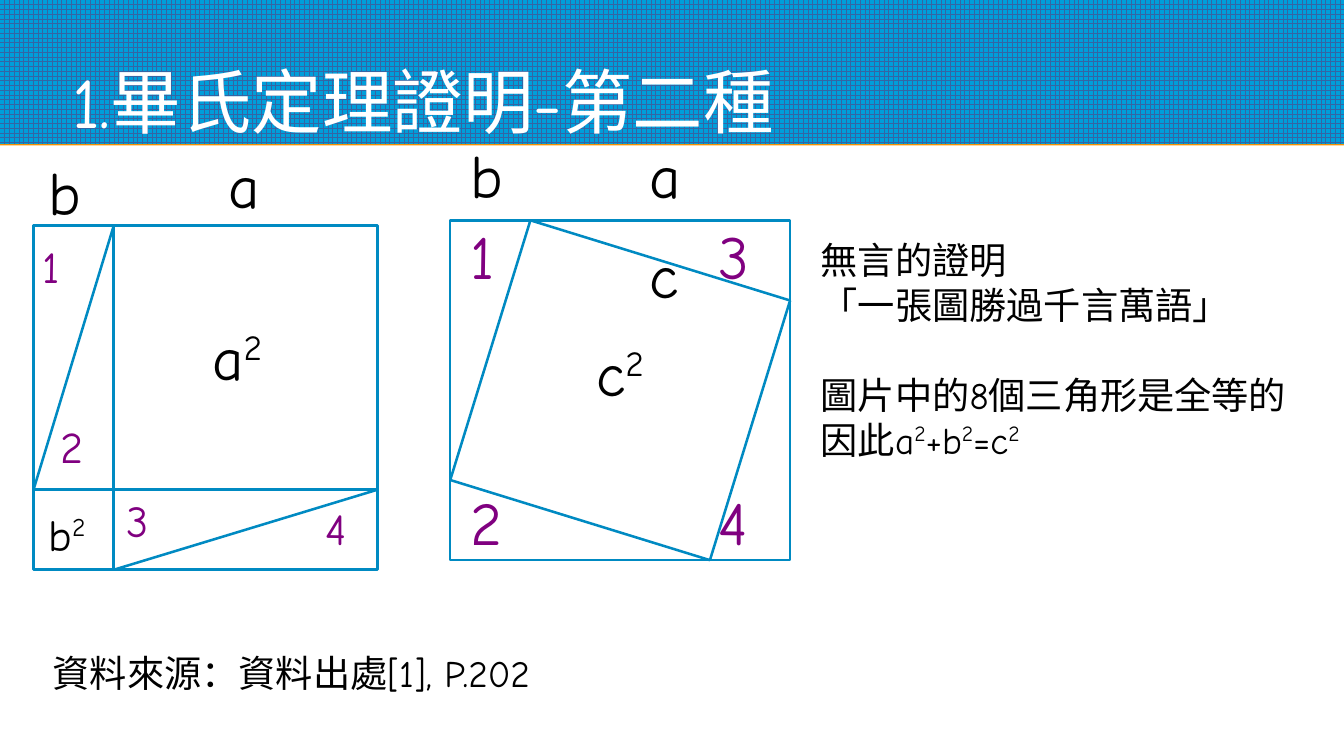
from lxml import etree
from pptx import Presentation
from pptx.dml.color import RGBColor
from pptx.enum.dml import MSO_PATTERN
from pptx.enum.shapes import MSO_CONNECTOR, MSO_SHAPE
from pptx.enum.text import MSO_ANCHOR, MSO_AUTO_SIZE, PP_ALIGN
from pptx.oxml import parse_xml
from pptx.oxml.ns import nsdecls, qn
from pptx.util import Cm, Pt

FONT = "Comic Neue"
WHITE = RGBColor(0xFF, 0xFF, 0xFF)
BLACK = RGBColor(0x00, 0x00, 0x00)
PURPLE = RGBColor(0x80, 0x00, 0x80)
LINE_BLUE = RGBColor(0x00, 0x8A, 0xC2)
BANNER_BLUE = RGBColor(0x00, 0x9E, 0xDA)
GRID_BLUE = RGBColor(0x34, 0x65, 0xA4)
SLIDE_WIDTH, SLIDE_HEIGHT = 28, 15.75
BANNER_HEIGHT = 3
LABEL_WIDTH, LABEL_HEIGHT = 2.8, 2.08
SHORT_LEG = 1.67

# Labels: text, left and top in cm, size in points, colour
SPLIT_LABELS = [
    ("b", 0.91, 2.95, 36, BLACK),
    ("a", 4.67, 2.79, 36, BLACK),
    ("a^2", 4.32, 6.38, 36, BLACK),
    ("b^2", 0.91, 10.08, 26, BLACK),
    ("1", 0.79, 4.5, 26, PURPLE),
    ("2", 1.17, 8.26, 26, PURPLE),
    ("3", 2.54, 9.8, 26, PURPLE),
    ("4", 6.68, 9.96, 26, PURPLE),
]
TILTED_LABELS = [
    ("b", 9.7, 2.59, 36, BLACK),
    ("a", 13.44, 2.59, 36, BLACK),
    ("c", 13.44, 4.67, 36, BLACK),
    ("c^2", 12.32, 6.71, 36, BLACK),
    ("1", 9.7, 4.27, 36, PURPLE),
    ("2", 9.7, 9.81, 36, PURPLE),
    ("3", 14.88, 4.27, 36, PURPLE),
    ("4", 14.88, 9.81, 36, PURPLE),
]


def add_runs(paragraph, text, size, color):
    """Add text to the paragraph; every second part between ^ marks is raised."""
    for index, part in enumerate(text.split("^")):
        if not part:
            continue
        run = paragraph.add_run()
        run.text = part
        run.font.name = FONT
        run.font.size = Pt(size)
        run.font.color.rgb = color
        if index % 2:
            run.font._element.set("baseline", "33000")


def set_margins(frame, margin):
    frame.margin_left = frame.margin_right = Cm(margin)
    frame.margin_top = frame.margin_bottom = Cm(margin)


def add_text(slide, lines, left, top, width, height, size, color=BLACK):
    box = slide.shapes.add_textbox(Cm(left), Cm(top), Cm(width), Cm(height))
    frame = box.text_frame
    frame.word_wrap = True
    frame.vertical_anchor = MSO_ANCHOR.MIDDLE
    set_margins(frame, 0.1)
    for index, line in enumerate(lines):
        paragraph = frame.add_paragraph() if index else frame.paragraphs[0]
        add_runs(paragraph, line, size, color)
    return frame


def add_labels(slide, labels):
    for text, left, top, size, color in labels:
        add_text(slide, [text], left, top, LABEL_WIDTH, LABEL_HEIGHT, size, color)


def add_line(slide, start, end):
    line = slide.shapes.add_connector(
        MSO_CONNECTOR.STRAIGHT, *[Cm(value) for value in (*start, *end)])
    line.line.color.rgb = LINE_BLUE
    line.line.width = Pt(1.5)
    etree.SubElement(line._element.spPr, qn("a:effectLst"))


def add_square(slide, left, top, side):
    square = slide.shapes.add_shape(
        MSO_SHAPE.RECTANGLE, Cm(left), Cm(top), Cm(side), Cm(side))
    square.shadow.inherit = False
    square.fill.background()
    square.line.color.rgb = LINE_BLUE
    square.line.width = Pt(1.5)


def add_split_square(slide, left, top, side):
    """Square cut into a², b² and two halved rectangles."""
    right, bottom = left + side, top + side
    column, row = left + SHORT_LEG, bottom - SHORT_LEG
    add_square(slide, left, top, side)
    add_line(slide, (column, top), (column, bottom))
    add_line(slide, (left, row), (right, row))
    add_line(slide, (column, top), (left, row))
    add_line(slide, (right, row), (column, bottom))


def add_tilted_square(slide, left, top, side):
    """Square with c² set at an angle between four triangles."""
    right, bottom = left + side, top + side
    corners = [(left + SHORT_LEG, top), (right, top + SHORT_LEG),
               (right - SHORT_LEG, bottom), (left, bottom - SHORT_LEG)]
    add_square(slide, left, top, side)
    for start, end in zip(corners, corners[1:] + corners[:1]):
        add_line(slide, start, end)


def add_banner(slide):
    banner = slide.shapes.add_shape(
        MSO_SHAPE.RECTANGLE, 0, 0, Cm(SLIDE_WIDTH), Cm(BANNER_HEIGHT))
    banner.fill.patterned()
    banner.fill.pattern = MSO_PATTERN.LARGE_GRID
    banner.fill.fore_color.rgb = GRID_BLUE
    banner.fill.back_color.rgb = BANNER_BLUE
    banner.line.fill.background()
    banner.shadow.inherit = False
    effects = banner._element.spPr.find(qn("a:effectLst"))
    effects.append(parse_xml(
        f'<a:outerShdw {nsdecls("a")} blurRad="0" dist="11430" dir="5400000">'
        '<a:srgbClr val="F49100"/></a:outerShdw>'))
    slide.shapes._spTree.insert(2, banner._element)


def fill_title(slide, text):
    title = slide.shapes.title
    title.left, title.top = Cm(1.5), Cm(0.25)
    title.width, title.height = Cm(25), Cm(2.75)
    frame = title.text_frame
    frame.word_wrap = True
    frame.auto_size = MSO_AUTO_SIZE.NONE
    frame.vertical_anchor = MSO_ANCHOR.BOTTOM
    set_margins(frame, 0)
    paragraph = frame.paragraphs[0]
    paragraph.alignment = PP_ALIGN.LEFT
    paragraph.line_spacing = 0.9
    add_runs(paragraph, text, 41.6, WHITE)


def main():
    presentation = Presentation()
    presentation.slide_width = Cm(SLIDE_WIDTH)
    presentation.slide_height = Cm(SLIDE_HEIGHT)
    slide = presentation.slides.add_slide(presentation.slide_layouts[5])

    add_banner(slide)
    fill_title(slide, "1.畢氏定理證明-第二種")

    add_split_square(slide, 0.7, 4.7, 7.17)
    add_labels(slide, SPLIT_LABELS)
    add_tilted_square(slide, 9.38, 4.59, 7.08)
    add_labels(slide, TILTED_LABELS)

    explanation = add_text(slide, [
        "無言的證明",
        "「一張圖勝過千言萬語」",
        "圖片中的8個三角形是全等的",
        "因此a^2^+b^2^=c^2",
    ], 17, 4.37, 10.5, 5.82, 22)
    explanation.paragraphs[2].space_before = Pt(27)
    add_text(slide, ["資料來源：資料出處[1], P.202"], 1, 13.36, 15.5, 1.32, 22)

    presentation.save("out.pptx")


if __name__ == "__main__":
    main()
